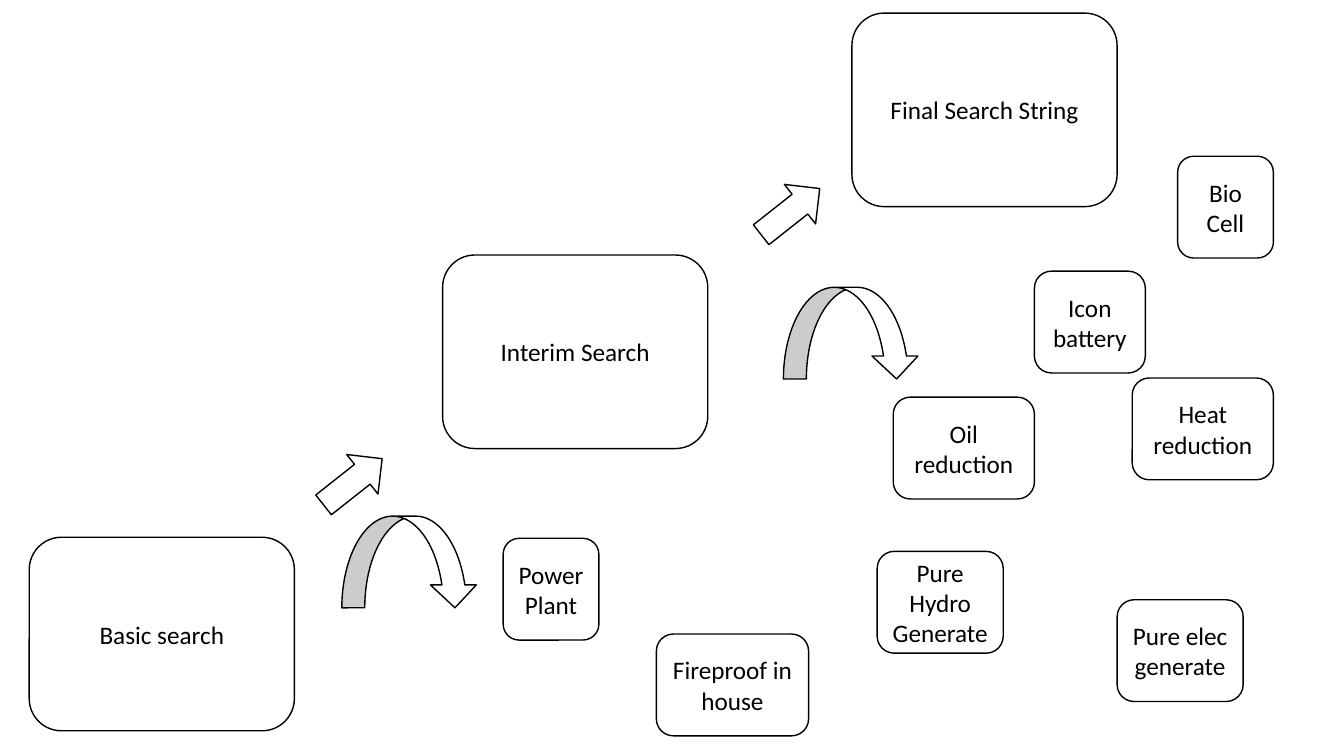
import pptx
import pptx.util
import pptx.dml.color
import pptx.enum.shapes
import pptx.enum.text

Inches = pptx.util.Inches
Shapes = pptx.enum.shapes.MSO_SHAPE


def color(hex_string):
    return pptx.dml.color.RGBColor.from_string(hex_string)


class Painter:
    """Holds the style and the current slide."""

    paper, ink = "FFFFFF", "000000"
    line_width = pptx.util.Pt(1)
    font = {"name": "Calibri", "size": pptx.util.Pt(18)}
    frame = {"word_wrap": True,
             "vertical_anchor": pptx.enum.text.MSO_ANCHOR.MIDDLE}

    def __init__(self, page):
        self.page = page

    def apply(self, target, values):
        for name, value in values.items():
            setattr(target, name, value)

    def outline(self, kind, left, top, width, height):
        shape = self.page.shapes.add_shape(
            kind, Inches(left), Inches(top), Inches(width), Inches(height))
        shape.shadow.inherit = False
        shape.fill.solid()
        shape.fill.fore_color.rgb = color(self.paper)
        shape.line.color.rgb = color(self.ink)
        shape.line.width = self.line_width
        return shape

    def box(self, text, left, top, width, height):
        box = self.outline(Shapes.ROUNDED_RECTANGLE, left, top, width, height)
        self.apply(box.text_frame, self.frame)
        box.text_frame.text = text
        for para in box.text_frame.paragraphs:
            para.alignment = pptx.enum.text.PP_ALIGN.CENTER
            for span in para.runs:
                self.apply(span.font, self.font)
                span.font.color.rgb = color(self.ink)

    def curved_arrow(self, left, top):
        self.outline(Shapes.CURVED_DOWN_ARROW, left, top, 1.35, 0.91)

    def step_arrow(self, left, top):
        arrow = self.outline(Shapes.RIGHT_ARROW, left, top, 0.74, 0.5)
        arrow.rotation = 321.7


deck = pptx.Presentation()
deck.slide_width, deck.slide_height = Inches(13.33), Inches(7.5)
painter = Painter(deck.slides.add_slide(deck.slide_layouts[6]))

# Search stages
for text, left, top in [("Basic search", 0.29, 5.33),
                        ("Interim Search", 4.39, 2.53),
                        ("Final Search String", 8.45, 0.13)]:
    painter.box(text, left, top, 2.63, 1.92)

# Curved arrows to the search terms
for left, top in [(3.39, 5.12), (7.77, 2.85)]:
    painter.curved_arrow(left, top)

# Search terms
for text, left, top, width in [("Power Plant", 4.99, 5.34, 0.95),
                               ("Pure Hydro Generate", 8.7, 5.47, 1.25),
                               ("Fireproof in house", 6.51, 6.29, 1.51),
                               ("Pure elec\ngenerate", 11.08, 5.95, 1.25),
                               ("Bio Cell", 11.68, 1.55, 0.95),
                               ("Icon battery", 10.26, 2.69, 1.1),
                               ("Oil reduction", 8.86, 3.94, 1.4),
                               ("Heat reduction", 11.23, 3.75, 1.4)]:
    painter.box(text, left, top, width, 1.01)

# Arrows between the stages
for left, top in [(3.13, 4.53), (7.47, 1.85)]:
    painter.step_arrow(left, top)

deck.save("out.pptx")
